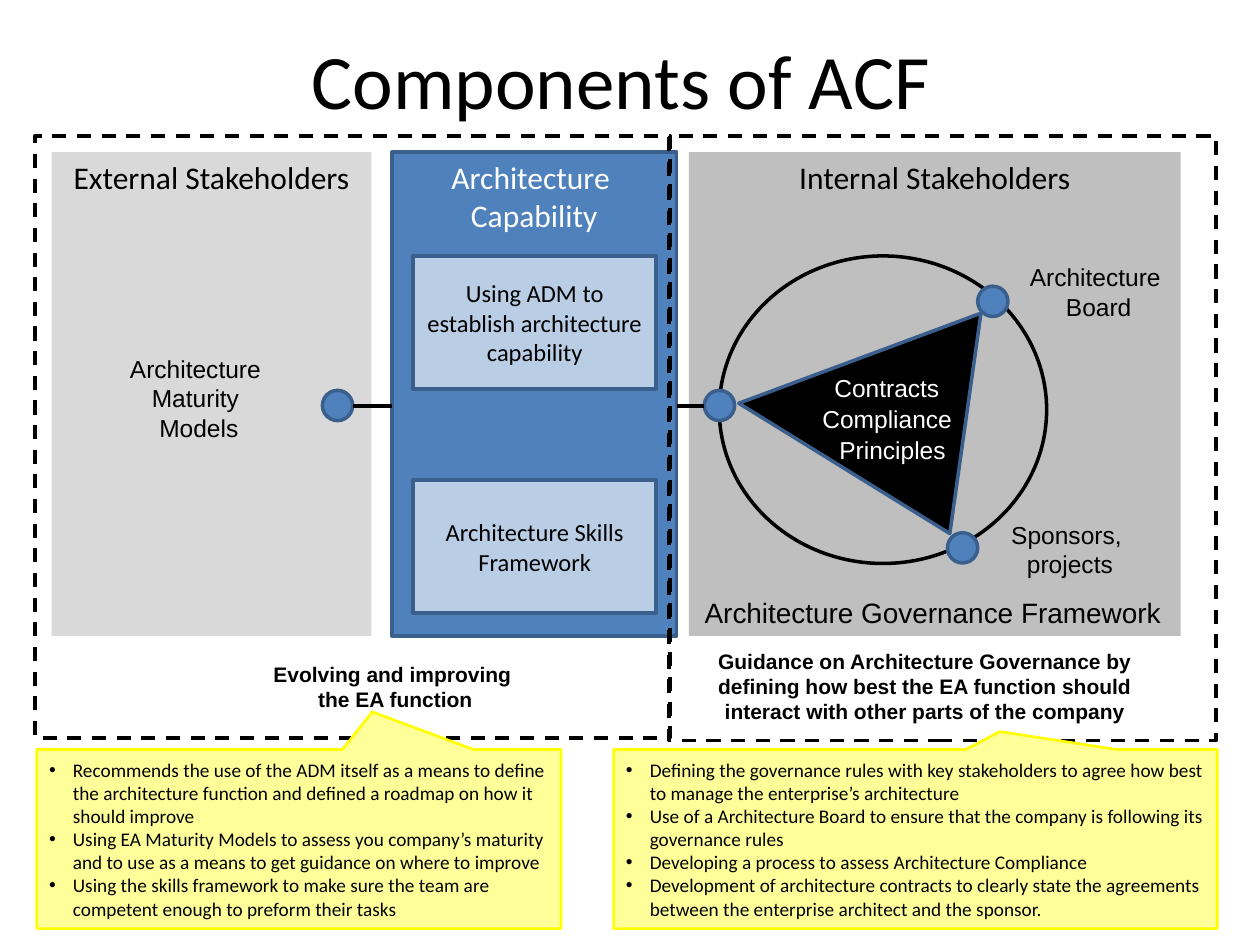
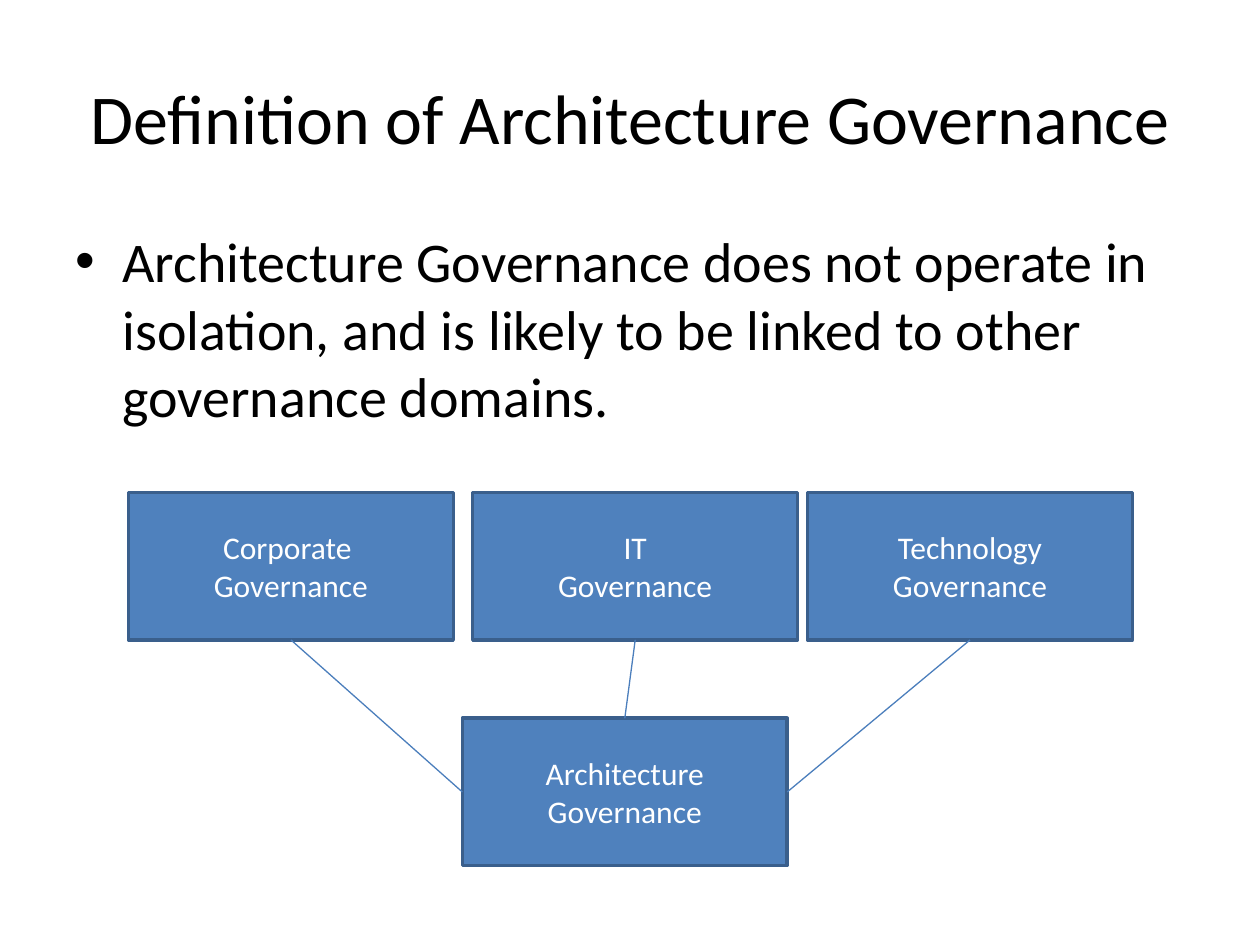
from lxml.etree import SubElement
from pptx import Presentation
from pptx.dml.color import RGBColor
from pptx.enum.dml import MSO_LINE
from pptx.enum.shapes import MSO_CONNECTOR, MSO_SHAPE
from pptx.enum.text import MSO_ANCHOR, PP_ALIGN
from pptx.oxml.ns import qn
from pptx.util import Cm, Pt

BLUE, EDGE, PALE = "4F81BD", "3A5F8C", "B9CDE5"
BLACK, WHITE = "000000", "FFFFFF"


def paint(item, fill=None, line=None, weight=2, dash=None):
    """Set fill and line from hex colours (None means none) and drop the shadow."""
    if line:
        item.line.color.rgb = RGBColor.from_string(line)
        item.line.width = Pt(weight)
        item.line.dash_style = dash
    else:
        item.line.fill.background()
    if hasattr(item, "fill"):
        item.shadow.inherit = False
        if fill:
            item.fill.solid()
            item.fill.fore_color.rgb = RGBColor.from_string(fill)
        else:
            item.fill.background()
    else:
        SubElement(item._element.spPr, qn("a:effectLst"))
    return item


def write(box, text, size=18, font="Calibri", color=BLACK, bold=False,
          align=PP_ALIGN.CENTER, anchor=MSO_ANCHOR.MIDDLE, wrap=True, indent=None):
    """Put each line of text in its own paragraph; an indent in cm adds bullets."""
    frame = box.text_frame
    frame.word_wrap = wrap
    frame.vertical_anchor = anchor
    for number, line in enumerate(text.split("\n")):
        para = frame.add_paragraph() if number else frame.paragraphs[0]
        para.alignment = align
        if indent:
            properties = para._p.get_or_add_pPr()
            properties.set("marL", str(Cm(indent)))
            properties.set("indent", str(-Cm(indent)))
            SubElement(properties, qn("a:buFont"), typeface="Arial")
            SubElement(properties, qn("a:buChar"), char="•")
        span = para.add_run()
        span.text = line
        span.font.size = Pt(size)
        span.font.name = font
        span.font.bold = bold
        span.font.color.rgb = RGBColor.from_string(color)


deck = Presentation()
deck.slide_width, deck.slide_height = Cm(25.4), Cm(19.05)

pages = []
for heading, size, left, top in [
    ("Components of ACF", 44, 1.09, 0),
    ("Definition of Architecture Governance", 40, 1.27, 0.76),
]:
    page = deck.slides.add_slide(deck.slide_layouts[5])
    title = page.shapes.title
    title.left, title.top, title.width, title.height = Cm(left), Cm(top), Cm(22.86), Cm(3.18)
    write(title, heading, size=size)
    pages.append(page)
components, definition = [page.shapes for page in pages]

# Slide 1: the three panels
for text, left, width, fill, line, color in [
    ("External Stakeholders", 1.04, 6.45, "D9D9D9", None, BLACK),
    ("Internal Stakeholders", 13.89, 9.91, "BFBFBF", None, BLACK),
    ("Architecture \nCapability", 7.9, 5.74, BLUE, EDGE, WHITE),
]:
    panel = components.add_shape(MSO_SHAPE.RECTANGLE, Cm(left), Cm(3.07), Cm(width), Cm(9.75))
    paint(panel, fill, line)
    write(panel, text, color=color, anchor=MSO_ANCHOR.TOP)

for text, top in [
    ("Architecture Skills Framework", 9.68),
    ("Using ADM to establish architecture capability", 5.16),
]:
    box = components.add_shape(MSO_SHAPE.RECTANGLE, Cm(8.33), Cm(top), Cm(4.9), Cm(2.68))
    paint(box, PALE, EDGE)
    write(box, text, size=14)

# Slide 1: governance ring, its nodes and the links to the capability panel
ring = components.add_shape(MSO_SHAPE.OVAL, Cm(14.5), Cm(5.16), Cm(6.6), Cm(6.2))
paint(ring, line=BLACK)
for left, top in [(14.2, 7.87), (19.71, 5.77), (19.1, 10.74), (6.5, 7.87)]:
    node = components.add_shape(MSO_SHAPE.OVAL, Cm(left), Cm(top), Cm(0.61), Cm(0.61))
    paint(node, BLUE, EDGE)

triangle = components.add_shape(MSO_SHAPE.ISOSCELES_TRIANGLE, Cm(15.6), Cm(5.64), Cm(5), Cm(4.11))
triangle.adjustments[0] = 0.64
triangle.rotation = 31.7
paint(triangle, BLACK, EDGE)

for start, end in [(13.64, 14.2), (7.9, 7.11)]:
    link = components.add_connector(MSO_CONNECTOR.STRAIGHT, Cm(start), Cm(8.18), Cm(end), Cm(8.18))
    paint(link, line=BLACK)

for text, left, top, width, height, size, color in [
    ("Contracts", 16.56, 7.39, 2.64, 0.86, 14, WHITE),
    ("Compliance", 16.31, 8.03, 3.15, 0.86, 14, WHITE),
    ("Principles", 16.66, 8.64, 2.67, 0.86, 14, WHITE),
    ("Architecture \nBoard", 20.5, 5.16, 3.3, 1.45, 14, BLACK),
    ("Sponsors, \nprojects", 20.12, 10.36, 2.9, 1.45, 14, BLACK),
    ("Architecture \nMaturity \nModels", 2.36, 7.01, 3.3, 2.06, 14, BLACK),
    ("Architecture Governance Framework", 13.89, 11.89, 9.83, 0.94, 16, BLACK),
]:
    label = components.add_textbox(Cm(left), Cm(top), Cm(width), Cm(height))
    write(label, text, size=size, font="Arial", color=color, anchor=MSO_ANCHOR.TOP, wrap=False)

# Slide 1: dashed areas, their captions and the callouts below
for left, width, height in [(0.71, 12.8, 12.14), (13.49, 11.02, 12.19)]:
    area = components.add_shape(MSO_SHAPE.RECTANGLE, Cm(left), Cm(2.74), Cm(width), Cm(height))
    paint(area, line=BLACK, dash=MSO_LINE.DASH)

for text, left, top, width, height in [
    ("Evolving and improving \nthe EA function", 2.46, 13.21, 11.02, 1.27),
    ("Guidance on Architecture Governance by defining how best the EA function should "
     "interact with other parts of the company", 13.49, 12.95, 10.31, 1.8),
]:
    caption = components.add_textbox(Cm(left), Cm(top), Cm(width), Cm(height))
    write(caption, text, size=12, font="Arial", bold=True, anchor=MSO_ANCHOR.TOP)

for left, width, tip, points in [
    (0.74, 10.57, -0.71, [
        "Recommends the use of the ADM itself as a means to define the architecture function "
        "and defined a roadmap on how it should improve",
        "Using EA Maturity Models to assess you company’s maturity and to use as a means "
        "to get guidance on where to improve",
        "Using the skills framework to make sure the team are competent enough "
        "to preform their tasks",
    ]),
    (12.37, 12.17, -0.6, [
        "Defining the governance rules with key stakeholders to agree how best to manage "
        "the enterprise’s architecture",
        "Use of a Architecture Board to ensure that the company is following its governance rules",
        "Developing a process to assess Architecture Compliance",
        "Development of architecture contracts to clearly state the agreements between "
        "the enterprise architect and the sponsor.",
    ]),
]:
    callout = components.add_shape(
        MSO_SHAPE.RECTANGULAR_CALLOUT, Cm(left), Cm(15.11), Cm(width), Cm(3.61))
    callout.adjustments[0], callout.adjustments[1] = 0.14, tip
    paint(callout, "FFFF99", "FFFF00", weight=1.5)
    write(callout, "\n".join(points), size=11, align=PP_ALIGN.LEFT, indent=0.48)

# Slide 2: statement and the linked governance domains
statement = definition.add_textbox(Cm(1.27), Cm(4.45), Cm(22.86), Cm(5))
write(statement, "Architecture Governance does not operate in isolation, and is likely to be "
      "linked to other governance domains.",
      size=32, align=PP_ALIGN.LEFT, anchor=MSO_ANCHOR.TOP, indent=0.95)

domains = []
for name, left, top in [
    ("Corporate ", 2.59, 9.93),
    ("IT", 9.53, 9.93),
    ("Technology", 16.28, 9.93),
    ("Architecture", 9.32, 14.48),
]:
    domain = components_box = definition.add_shape(
        MSO_SHAPE.RECTANGLE, Cm(left), Cm(top), Cm(6.55), Cm(2.97))
    paint(domain, BLUE, EDGE)
    write(domain, f"{name}\nGovernance", color=WHITE)
    domains.append(domain)

*others, architecture = domains
for domain, side in zip(others, (1, 0, 3)):
    link = definition.add_connector(MSO_CONNECTOR.STRAIGHT, 0, 0, 0, 0)
    link.begin_connect(domain, 2)
    link.end_connect(architecture, side)
    paint(link, line="4B7EBC", weight=0.75)

deck.save("out.pptx")
